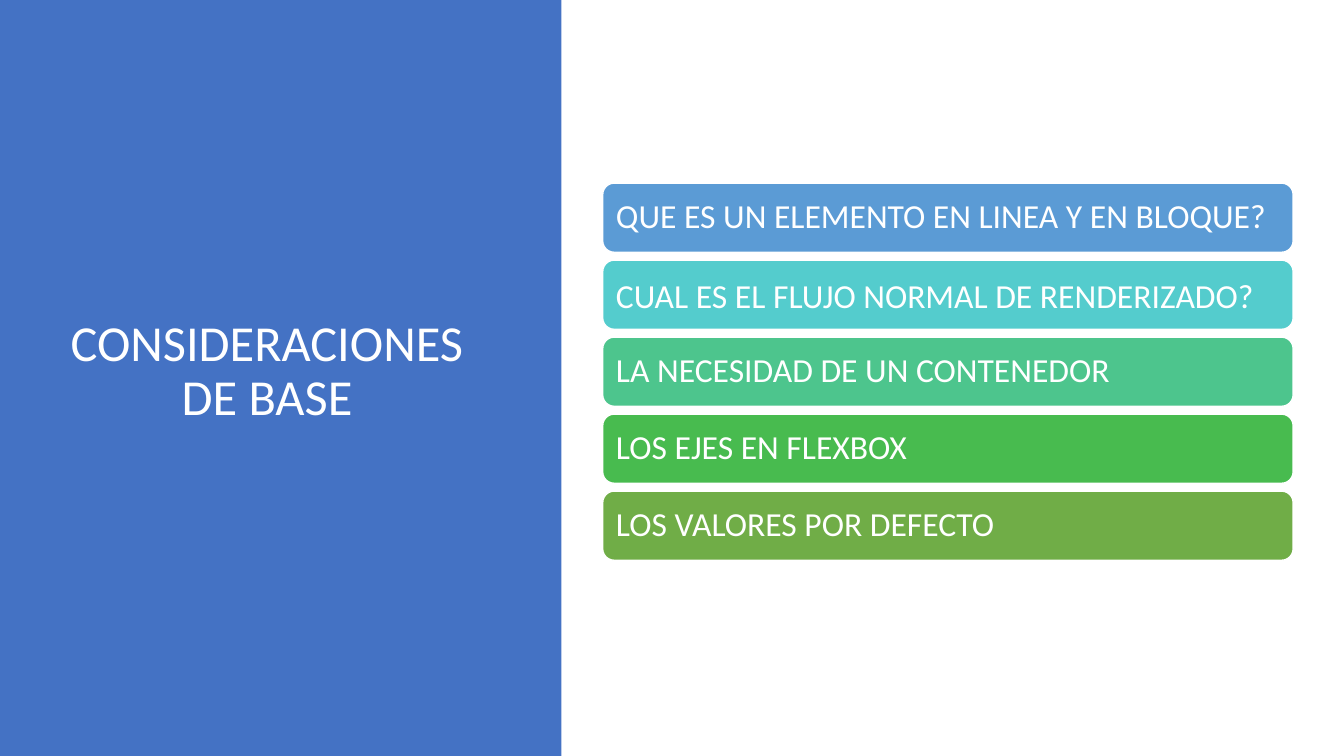
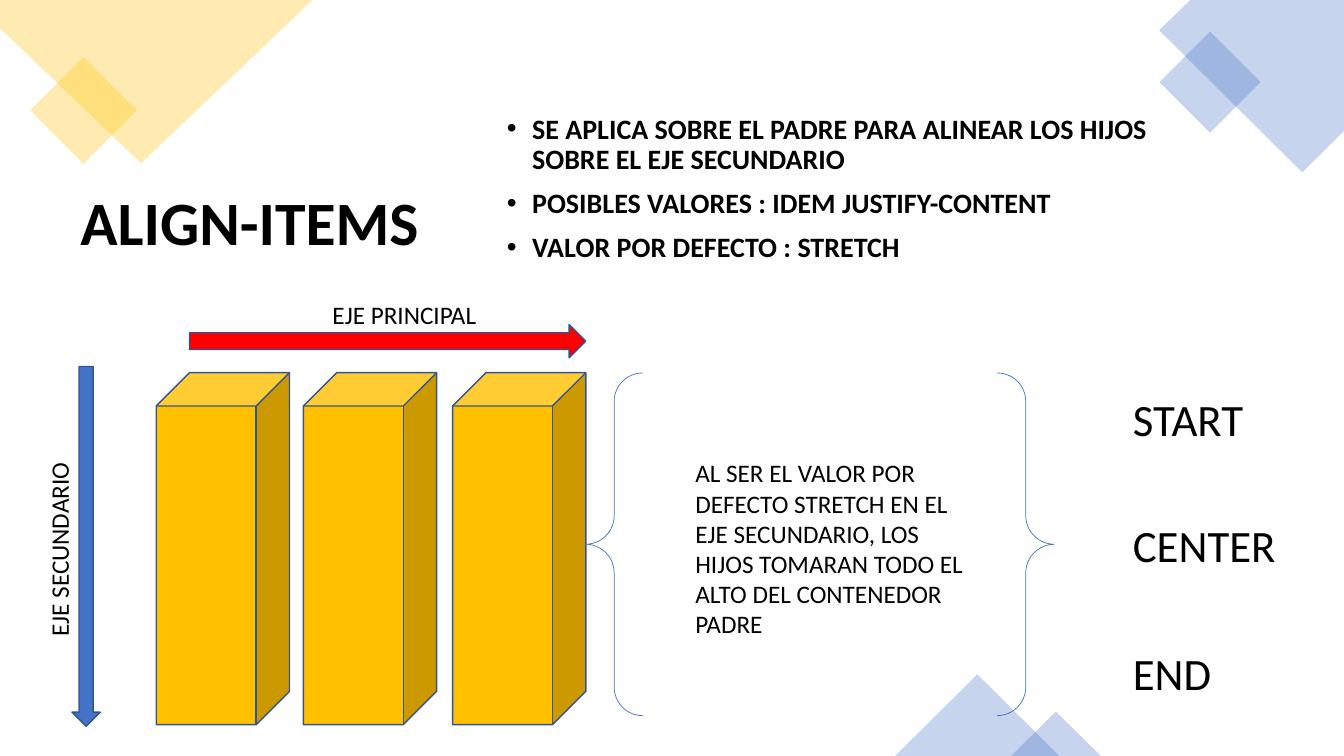
"""Build two flexbox slides: the base considerations and the align-items property."""
from lxml.etree import SubElement
from pptx import Presentation
from pptx.dml.color import RGBColor
from pptx.enum.shapes import MSO_SHAPE
from pptx.enum.text import MSO_ANCHOR, PP_ALIGN
from pptx.oxml.ns import qn
from pptx.util import Pt

FONT = "Calibri"
WHITE = RGBColor(0xFF, 0xFF, 0xFF)
BLACK = RGBColor(0, 0, 0)
BLUE = RGBColor(0x44, 0x72, 0xC4)
NAVY = RGBColor(0x32, 0x54, 0x91)
GOLD = RGBColor(0xFF, 0xC0, 0x00)
RED = RGBColor(0xFF, 0, 0)
SKY = RGBColor(0x5B, 0x9B, 0xD5)
TURQUOISE = RGBColor(0x54, 0xCC, 0xCD)
MINT = RGBColor(0x4D, 0xC5, 0x8D)
GREEN = RGBColor(0x48, 0xBB, 0x4F)
OLIVE = RGBColor(0x70, 0xAD, 0x47)

SLIDE_SIZE = (960, 540)
PANEL = (0, 0, 401, 540)
BASE_TITLE = ("CONSIDERACIONES DE BASE", (41, 49, 299.5, 433.4))
TOPICS = [
    ("QUE ES UN ELEMENTO EN LINEA Y EN BLOQUE?", SKY, 0.9),
    ("CUAL ES EL FLUJO NORMAL DE RENDERIZADO?", TURQUOISE, 1.0),
    ("LA NECESIDAD DE UN CONTENEDOR", MINT, 0.9),
    ("LOS EJES EN FLEXBOX", GREEN, 0.9),
    ("LOS VALORES POR DEFECTO", OLIVE, 0.9),
]
TOPIC_LEFT, TOPIC_TOP, TOPIC_WIDTH, TOPIC_HEIGHT, TOPIC_GAP = 430.5, 130.8, 493.2, 49.4, 5.6

ALIGN_TITLE = ("ALIGN-ITEMS", (50.4, 133.9, 311.8, 355.7))
RULES = [
    "SE APLICA SOBRE EL PADRE PARA ALINEAR LOS HIJOS SOBRE EL EJE SECUNDARIO",
    "POSIBLES VALORES : IDEM JUSTIFY-CONTENT",
    "VALOR POR DEFECTO : STRETCH",
]
RULES_BOX = (355, 78.5, 509.8, 141.8)
CORNERS = [
    (GOLD, [(0, 0), (223.2, 0), (100.8, 116.6), (0, 20.2)]),
    (BLUE, [(850.3, 0), (960, 0), (960, 93.6), (930.2, 123.1), (828, 21.6)]),
]
ACCENTS = [
    (MSO_SHAPE.RECTANGLE, GOLD, (32.6, 51.8, 54, 54), 45),
    (MSO_SHAPE.RECTANGLE, BLUE, (838.8, 33.1, 51.1, 51.1), 45),
    (MSO_SHAPE.ISOSCELES_TRIANGLE, BLUE, (639.4, 481.7, 117.4, 58.3), 0),
    (MSO_SHAPE.ISOSCELES_TRIANGLE, BLUE, (722.2, 508.3, 64.1, 31.7), 0),
]
CHILD_LEFTS = (111.6, 216.7, 323.3)
CHILD_TOP, CHILD_WIDTH, CHILD_HEIGHT = 266.2, 95.2, 251.4
AXES = [
    ("EJE PRINCIPAL", (230.4, 210.2, 128.9, 29), 0, RED, (135.4, 231.8, 283, 23.8), 0),
    ("EJE SECUNDARIO", (-30.2, 375.1, 144.7, 29), 270, BLUE, (-67, 380.2, 257, 20.2), 90),
]
BRACES = (418.3, 266.4, 334.8, 244.8)
STRETCH_NOTE = ("AL SER EL VALOR POR DEFECTO STRETCH EN EL EJE SECUNDARIO, LOS HIJOS "
                "TOMARAN TODO EL ALTO DEL CONTENEDOR PADRE", (489.6, 323.3, 216, 138.2))
VALUES = [("START", 276.5), ("CENTER", 366.5), ("END", 457.9)]
VALUE_LEFT, VALUE_WIDTH, VALUE_HEIGHT = 802.1, 131, 46.1


def points(box):
    return [Pt(length) for length in box]


def paint(shape, fill=None, line=None, weight=1, alpha=None):
    shape.shadow.inherit = False
    if fill is None:
        shape.fill.background()
    else:
        shape.fill.solid()
        shape.fill.fore_color.rgb = fill
    if alpha:
        color = shape.fill._xPr.find(qn("a:solidFill"))[0]
        SubElement(color, qn("a:alpha")).set("val", str(alpha * 1000))
    if line is None:
        shape.line.fill.background()
    else:
        shape.line.color.rgb = line
        shape.line.width = Pt(weight)


def add_figure(slide, preset, box, rotation=0, **look):
    figure = slide.shapes.add_shape(preset, *points(box))
    figure.rotation = rotation
    paint(figure, **look)
    return figure


def write(shape, lines, size, color=BLACK, bold=False, spacing=1.0,
          align=PP_ALIGN.LEFT, anchor=MSO_ANCHOR.TOP, inset=3.6, bullets=False):
    frame = shape.text_frame
    frame_format = {"word_wrap": True, "vertical_anchor": anchor,
                    "margin_left": Pt(7.2), "margin_right": Pt(7.2),
                    "margin_top": Pt(inset), "margin_bottom": Pt(inset)}
    for name, value in frame_format.items():
        setattr(frame, name, value)
    frame.text = "\n".join(lines)
    for paragraph in frame.paragraphs:
        paragraph.alignment = align
        paragraph.line_spacing = spacing
        for name, value in {"name": FONT, "size": Pt(size), "bold": bold}.items():
            setattr(paragraph.runs[0].font, name, value)
        paragraph.runs[0].font.color.rgb = color
        if bullets:
            paragraph.space_before = Pt(10)
            properties = paragraph._p.get_or_add_pPr()
            properties.set("marL", str(Pt(18)))
            properties.set("indent", str(-Pt(18)))
            SubElement(properties, qn("a:buFont")).set("typeface", "Arial")
            SubElement(properties, qn("a:buChar")).set("char", "•")


def add_text(slide, lines, box, size, rotation=0, **style):
    label = slide.shapes.add_textbox(*points(box))
    label.rotation = rotation
    write(label, lines, size, **style)


def add_title(slide, title, size, **style):
    text, box = title
    add_text(slide, [text], box, size, spacing=0.9, **style)


def build_base(slide):
    add_figure(slide, MSO_SHAPE.RECTANGLE, PANEL, fill=BLUE)
    add_title(slide, BASE_TITLE, 36, color=WHITE, align=PP_ALIGN.CENTER,
              anchor=MSO_ANCHOR.MIDDLE)
    for row, (topic, fill, spacing) in enumerate(TOPICS):
        top = TOPIC_TOP + row * (TOPIC_HEIGHT + TOPIC_GAP)
        bar = add_figure(slide, MSO_SHAPE.ROUNDED_RECTANGLE,
                         (TOPIC_LEFT, top, TOPIC_WIDTH, TOPIC_HEIGHT), fill=fill, line=WHITE)
        write(bar, [topic], 24, color=WHITE, spacing=spacing,
              anchor=MSO_ANCHOR.MIDDLE, inset=7.2)


def build_align(slide):
    add_title(slide, ALIGN_TITLE, 44, bold=True)
    for fill, corners in CORNERS:
        start, *others = [points(corner) for corner in corners]
        outline = slide.shapes.build_freeform(*start)
        outline.add_line_segments(others, close=True)
        paint(outline.convert_to_shape(), fill=fill, alpha=30)
    for preset, fill, box, rotation in ACCENTS:
        add_figure(slide, preset, box, rotation, fill=fill, alpha=30)
    add_text(slide, RULES, RULES_BOX, 20, bold=True, spacing=0.9, bullets=True)
    for left in CHILD_LEFTS:
        add_figure(slide, MSO_SHAPE.CUBE, (left, CHILD_TOP, CHILD_WIDTH, CHILD_HEIGHT),
                   fill=GOLD, line=NAVY)
    for axis, label_box, label_turn, fill, arrow_box, arrow_turn in AXES:
        add_figure(slide, MSO_SHAPE.RIGHT_ARROW, arrow_box, arrow_turn, fill=fill, line=NAVY)
        add_text(slide, [axis], label_box, 18, label_turn)
    add_figure(slide, MSO_SHAPE.DOUBLE_BRACE, BRACES, line=BLUE, weight=0.5)
    note, note_box = STRETCH_NOTE
    add_text(slide, [note], note_box, 18)
    for value, top in VALUES:
        add_text(slide, [value], (VALUE_LEFT, top, VALUE_WIDTH, VALUE_HEIGHT), 32)


deck = Presentation()
deck.slide_width, deck.slide_height = points(SLIDE_SIZE)
for build in (build_base, build_align):
    build(deck.slides.add_slide(deck.slide_layouts[6]))
deck.save("out.pptx")
